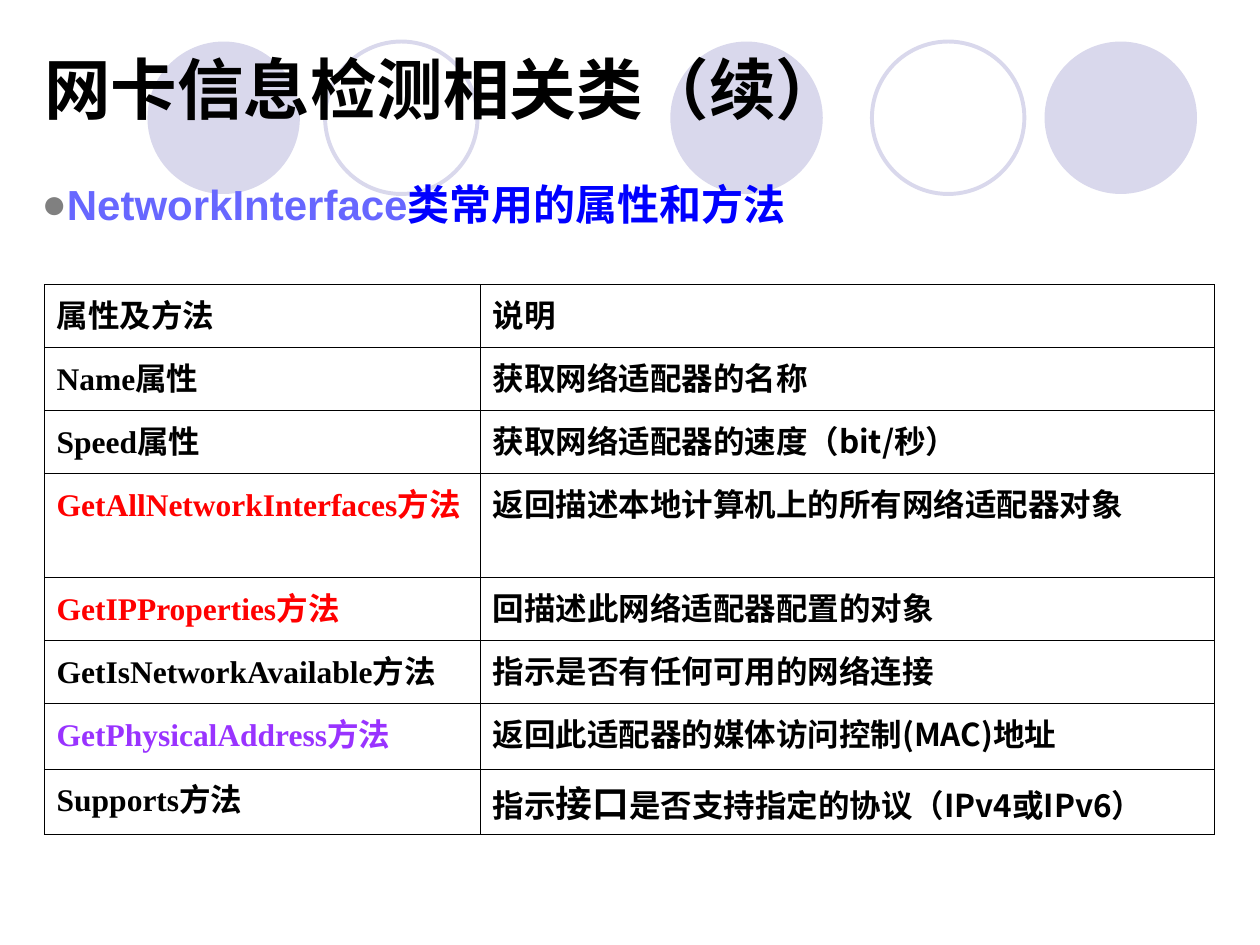
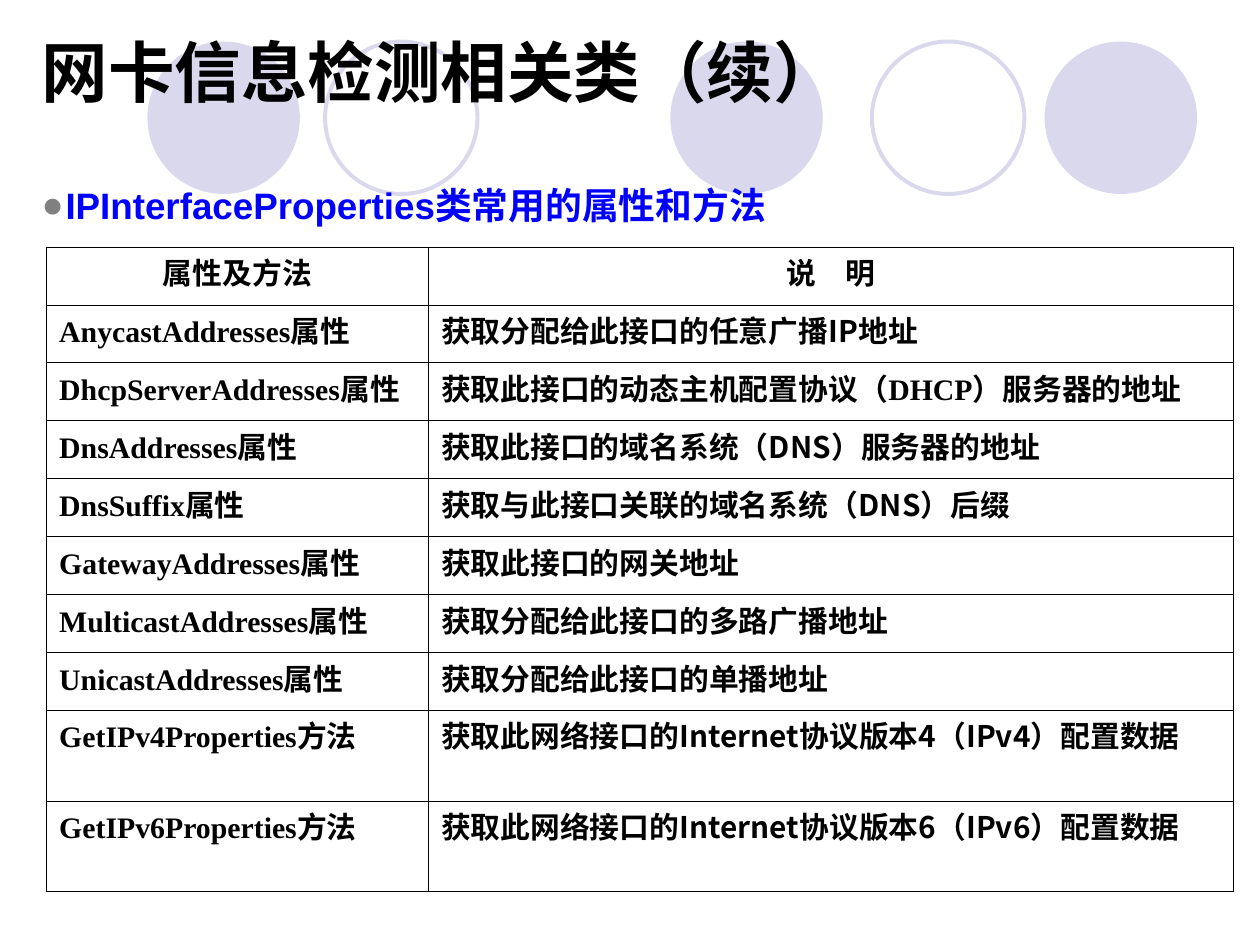
"""Build two slides on the network adapter classes: title, bullet heading and member table."""
from dataclasses import dataclass

from lxml import etree
from pptx import Presentation
from pptx import util as u
from pptx.dml.color import RGBColor
from pptx.enum import shapes, text
from pptx.oxml import ns


@dataclass(frozen=True)
class Theme:
    """Colours, fonts and type sizes shared by the slides."""
    black: str = "000000"
    lilac: str = "D9D8EC"
    bullet: str = "808080"
    blue: str = "0000FF"
    periwinkle: str = "6767FF"
    red: str = "FF0000"
    violet: str = "9933FF"
    heading: str = "Arial"
    member: str = "Times New Roman"
    technical: str = "Noto Sans CJK KR"
    chinese: str = "Noto Sans CJK SC"
    title_size: float = 38
    emphasis_size: float = 21
    border: float = 0.45
    ring: float = 2.25


@dataclass(frozen=True)
class Run:
    """A stretch of text with its departures from the surrounding style."""
    text: str
    font: str = None
    color: str = None
    size: float = None


THEME = Theme()
UNIT = u.Inches(0.1)
TITLE = "网卡信息检测相关类（续）"
CIRCLE_TOP, CIRCLE_SIZE = 3.3, 12.1
CIRCLES = [(53.2, True), (82.9, True), (11.7, True), (69.2, False), (25.8, False)]


def grid(*lengths):
    """Turn grid columns or rows, 100 by 75 to a slide, into lengths."""
    return [u.Emu(round(length * UNIT)) for length in lengths]


def rgb(color):
    """Give the colour object for a hex value."""
    return RGBColor.from_string(color)


def tech(words):
    """Make a run in the technical font."""
    return Run(words, THEME.technical)


def add_xml(parent, tag, **attributes):
    """Append a DrawingML element to a parent."""
    return etree.SubElement(parent, ns.qn(tag), attributes)


def write(paragraph, runs, font, size, color=THEME.black):
    """Write bold runs, each falling back on the given style."""
    for part in [Run(runs)] if isinstance(runs, str) else runs:
        run = paragraph.add_run()
        run.text = part.text
        run.font.name = part.font or font
        run.font.size = u.Pt(part.size or size)
        run.font.bold = True
        run.font.color.rgb = rgb(part.color or color)
        add_xml(run.font._element, "a:ea", typeface=THEME.chinese)


def hang(paragraph, indent):
    """Give a paragraph a hanging indent in grid columns."""
    width, = grid(indent)
    properties = paragraph._p.get_or_add_pPr()
    properties.set("marL", str(width))
    properties.set("indent", str(-width))
    return properties


def fill_placeholder(placeholder, box, anchor):
    """Move a placeholder and return its left-aligned first paragraph."""
    placeholder.left, placeholder.top, placeholder.width, placeholder.height = grid(*box)
    frame = placeholder.text_frame
    frame.word_wrap = True
    frame.auto_size = text.MSO_AUTO_SIZE.NONE
    frame.vertical_anchor = anchor
    paragraph = frame.paragraphs[0]
    paragraph.alignment = text.PP_ALIGN.LEFT
    return paragraph


def add_title(slide, left, top):
    """Set the shared slide title."""
    paragraph = fill_placeholder(slide.shapes.title, (left, top, 95.2, 7.4), text.MSO_ANCHOR.MIDDLE)
    write(paragraph, TITLE, THEME.heading, THEME.title_size)


def add_class_heading(slide, runs, box, size, line_spacing, space_after):
    """Set the bulleted line that names the class."""
    paragraph = fill_placeholder(slide.placeholders[1], box, text.MSO_ANCHOR.TOP)
    properties = hang(paragraph, 1.9)
    add_xml(add_xml(properties, "a:buClr"), "a:srgbClr", val=THEME.bullet)
    add_xml(properties, "a:buFont", typeface=THEME.heading)
    add_xml(properties, "a:buChar", char="●")
    paragraph.line_spacing = line_spacing
    paragraph.space_before = u.Pt(0)
    paragraph.space_after = u.Pt(space_after)
    write(paragraph, runs, THEME.heading, size, THEME.blue)


def rule_cell(cell):
    """Draw thin borders round an unfilled cell."""
    properties = cell._tc.get_or_add_tcPr()
    for side in ("a:lnL", "a:lnR", "a:lnT", "a:lnB"):
        line = add_xml(properties, side, w=str(u.Pt(THEME.border)))
        add_xml(add_xml(line, "a:solidFill"), "a:srgbClr", val=THEME.black)
    cell.fill.background()


def add_member_table(slide, members, origin, columns, rows, size,
                     header_align=text.PP_ALIGN.LEFT, line_spacing=1.0):
    """Add the ruled table of members, header row first."""
    frame = slide.shapes.add_table(len(rows), len(columns), *grid(*origin, sum(columns), sum(rows)))
    table = frame.table
    table.first_row = table.horz_banding = False
    for column, width in zip(table.columns, grid(*columns)):
        column.width = width
    for row, height in zip(table.rows, grid(*rows)):
        row.height = height
    for row_index, member in enumerate(members):
        is_header = row_index == 0
        for column_index, runs in enumerate(member):
            cell = table.cell(row_index, column_index)
            rule_cell(cell)
            paragraph = cell.text_frame.paragraphs[0]
            hang(paragraph, 3.8)
            paragraph.alignment = header_align if is_header else text.PP_ALIGN.LEFT
            paragraph.line_spacing = line_spacing
            write(paragraph, runs, THEME.chinese if is_header else THEME.member, size)


def move_circles_to_master(prs, slide):
    """Put the row of discs and rings behind every slide."""
    for index, (left, solid) in enumerate(CIRCLES):
        circle = slide.shapes.add_shape(shapes.MSO_SHAPE.OVAL,
                                        *grid(left, CIRCLE_TOP, CIRCLE_SIZE, CIRCLE_SIZE))
        circle.shadow.inherit = False
        if solid:
            circle.fill.solid()
            circle.fill.fore_color.rgb = rgb(THEME.lilac)
            circle.line.fill.background()
        else:
            circle.fill.background()
            circle.line.color.rgb = rgb(THEME.lilac)
            circle.line.width = u.Pt(THEME.ring)
        circle.element.nvSpPr.cNvPr.set("id", str(20 + index))
        prs.slide_master.shapes.element.insert(2 + index, circle.element)


def ip_version_member(version):
    """Describe the method for one version of the protocol."""
    return (f"GetIPv{version}Properties方法",
            [Run("获取此网络接口的"), tech("Internet"), Run("协议版本"), tech(version),
             Run("（"), tech(f"IPv{version}"), Run("）配置数据")])


def build_network_interface(slide):
    """Fill the slide on the adapter class."""
    add_title(slide, 2.5, 3.3)
    add_class_heading(slide, [Run("NetworkInterface", color=THEME.periwinkle),
                              Run("类常用的属性和方法")],
                      (2.3, 13.3, 93.4, 5.6), size=24, line_spacing=1.1, space_after=3)
    members = [
        ("属性及方法", "说明"),
        ("Name属性", "获取网络适配器的名称"),
        ("Speed属性", [Run("获取网络适配器的速度（"), tech("bit/"), Run("秒）")]),
        ([Run("GetAllNetworkInterfaces方法", color=THEME.red)],
         "返回描述本地计算机上的所有网络适配器对象"),
        ([Run("GetIPProperties方法", color=THEME.red)], "回描述此网络适配器配置的对象"),
        ("GetIsNetworkAvailable方法", "指示是否有任何可用的网络连接"),
        ([Run("GetPhysicalAddress方法", color=THEME.violet)],
         [Run("返回此适配器的媒体访问控制"), tech("(MAC)"), Run("地址")]),
        ("Supports方法",
         [Run("指示"), Run("接口", size=THEME.emphasis_size), Run("是否支持指定的协议（"),
          tech("IPv4"), Run("或"), tech("IPv6"), Run("）")]),
    ]
    add_member_table(slide, members, (3.5, 22.6), (34.6, 58.3),
                     [5] * 3 + [7] + [5] * 2 + [5.2, 5.1], size=18)


def build_ip_interface_properties(slide):
    """Fill the slide on the address properties class."""
    add_title(slide, 2.3, 1.9)
    add_class_heading(slide, "IPInterfaceProperties类常用的属性和方法",
                      (2.3, 13.3, 95.1, 6.3), size=21, line_spacing=1.2, space_after=2.6)
    members = [
        ("属性及方法", "说　明"),
        ("AnycastAddresses属性", [Run("获取分配给此接口的任意广播"), tech("IP"), Run("地址")]),
        ("DhcpServerAddresses属性", "获取此接口的动态主机配置协议（DHCP）服务器的地址"),
        ("DnsAddresses属性", [Run("获取此接口的域名系统（"), tech("DNS"), Run("）服务器的地址")]),
        ("DnsSuffix属性", [Run("获取与此接口关联的域名系统（"), tech("DNS"), Run("）后缀")]),
        ("GatewayAddresses属性", "获取此接口的网关地址"),
        ("MulticastAddresses属性", "获取分配给此接口的多路广播地址"),
        ("UnicastAddresses属性", "获取分配给此接口的单播地址"),
        ip_version_member("4"),
        ip_version_member("6"),
    ]
    add_member_table(slide, members, (3.7, 19.6), (30.3, 63.9), [4.6] * 8 + [6.1] * 2, size=17,
                     header_align=text.PP_ALIGN.CENTER, line_spacing=0.9)


def main():
    """Build and save the presentation."""
    prs = Presentation()
    prs.slide_width, prs.slide_height = grid(100, 75)
    layout = prs.slide_layouts[1]
    interface_slide, properties_slide = (prs.slides.add_slide(layout) for _ in range(2))
    move_circles_to_master(prs, interface_slide)
    build_network_interface(interface_slide)
    build_ip_interface_properties(properties_slide)
    prs.save("out.pptx")


if __name__ == "__main__":
    main()
